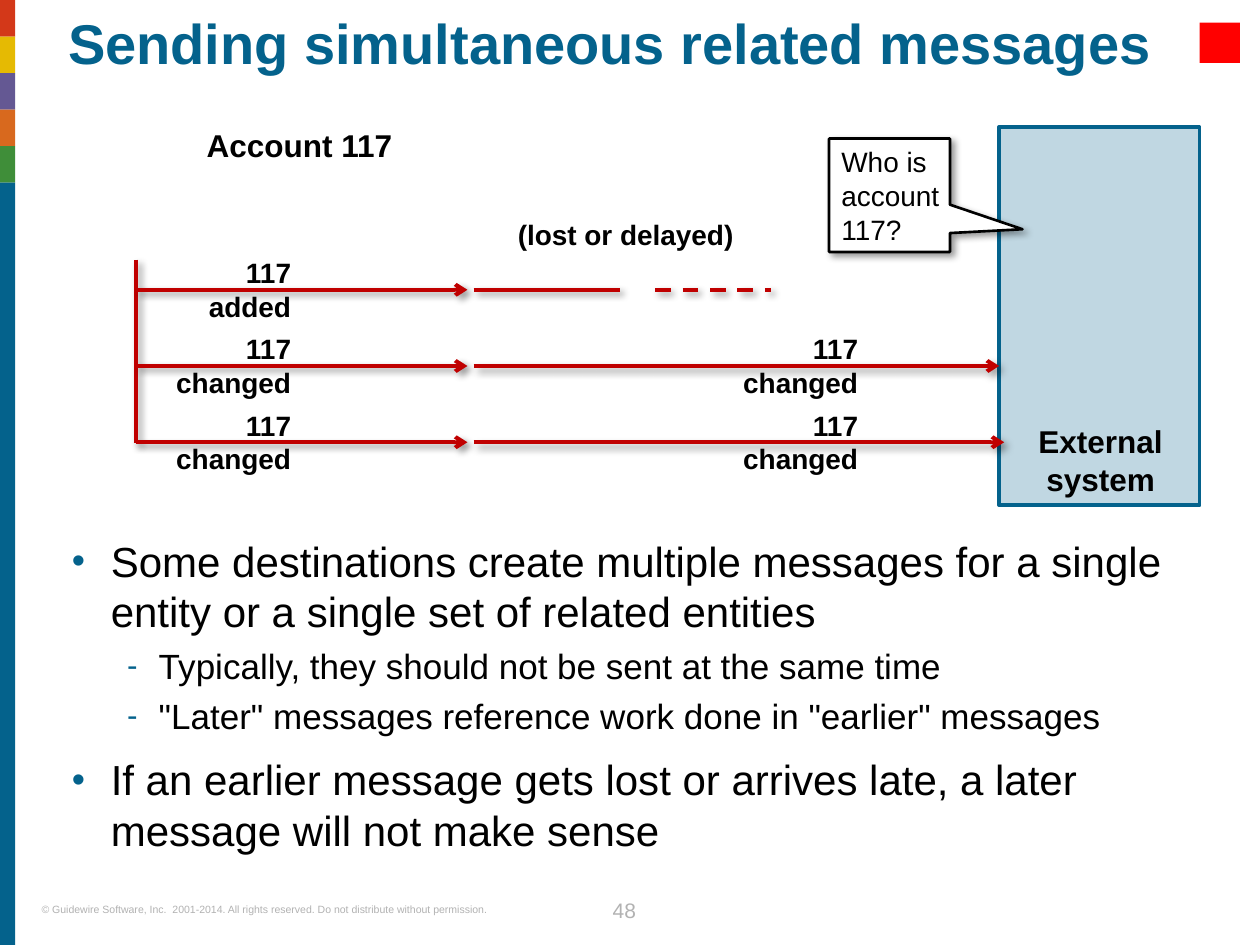
from lxml.etree import SubElement
from pptx import Presentation
from pptx.dml.color import RGBColor
from pptx.enum.dml import MSO_LINE
from pptx.enum.shapes import MSO_CONNECTOR, MSO_SHAPE
from pptx.enum.text import MSO_ANCHOR, MSO_AUTO_SIZE, PP_ALIGN
from pptx.oxml.ns import qn
from pptx.util import Inches, Pt

COLORS = {
    "blue": "04628C", "green": "3F8E39", "orange": "D8691E", "purple": "645893",
    "yellow": "E5BA03", "brick": "D33819", "message": "C00000", "marker": "FF0000",
    "black": "000000", "white": "FFFFFF", "gray": "B2B2B2",
}
COLUMNS, ROWS = 100, 75


class MessageSlide:
    """Draws styled elements on one slide, placed by columns and rows of a fine grid."""

    font = "Arial"

    def __init__(self):
        self.deck = Presentation()
        self.deck.slide_width, self.deck.slide_height = Inches(10), Inches(7.5)
        self.slide = self.deck.slides.add_slide(self.deck.slide_layouts[5])
        self.shapes = self.slide.shapes

    def x(self, columns):
        return round(self.deck.slide_width * columns / COLUMNS)

    def y(self, rows):
        return round(self.deck.slide_height * rows / ROWS)

    def box(self, left, top, width, height):
        return self.x(left), self.y(top), self.x(width), self.y(height)

    def color(self, name):
        return RGBColor.from_string(COLORS[name])

    def frame(self, shape, anchor=MSO_ANCHOR.TOP, left_inset=0):
        frame = shape.text_frame
        frame.word_wrap, frame.auto_size = True, MSO_AUTO_SIZE.NONE
        frame.vertical_anchor = anchor
        frame.margin_left = self.x(left_inset)
        frame.margin_top = frame.margin_right = frame.margin_bottom = 0
        return frame

    def style_text(self, paragraph, text, size, color="black", bold=False,
                   align=PP_ALIGN.LEFT):
        paragraph.text = text
        paragraph.alignment = align
        font = paragraph.font
        font.name, font.size, font.bold = self.font, Pt(size), bold
        font.color.rgb = self.color(color)

    def cast_shadow(self, effects):
        shadow = SubElement(effects, qn("a:outerShdw"), blurRad=str(Pt(4)),
                            dist=str(Pt(3)), dir="2700000", algn="tl", rotWithShape="0")
        tint = SubElement(shadow, qn("a:srgbClr"), val=COLORS["black"])
        SubElement(tint, qn("a:alpha"), val="40000")

    def title(self, text, *place):
        heading = self.shapes.title
        heading.left, heading.top, heading.width, heading.height = self.box(*place)
        paragraph = self.frame(heading).paragraphs[0]
        self.style_text(paragraph, text, 32, "blue", True)
        paragraph.line_spacing = 0.9

    def label(self, text, *place, size=16, color="black", bold=True, align=PP_ALIGN.LEFT):
        paragraph = self.frame(self.shapes.add_textbox(*self.box(*place))).paragraphs[0]
        self.style_text(paragraph, text, size, color, bold, align)

    def panel(self, fill, *place, line=None, weight=2.25, opacity=None,
              kind=MSO_SHAPE.RECTANGLE):
        panel = self.shapes.add_shape(kind, *self.box(*place))
        panel.shadow.inherit = False
        panel.fill.solid()
        panel.fill.fore_color.rgb = self.color(fill)
        if opacity:
            tint = panel._element.spPr.find(qn("a:solidFill"))[0]
            SubElement(tint, qn("a:alpha"), val=str(opacity * 1000))
        if line:
            panel.line.color.rgb = self.color(line)
            panel.line.width = Pt(weight)
        else:
            panel.line.fill.background()
        return panel

    def callout(self, text, *place, tip):
        bubble = self.panel("white", *place, line="black", weight=1.5,
                            kind=MSO_SHAPE.RECTANGULAR_CALLOUT)
        bubble.adjustments[0], bubble.adjustments[1] = tip
        self.cast_shadow(bubble._element.spPr.find(qn("a:effectLst")))
        frame = self.frame(bubble, MSO_ANCHOR.MIDDLE, 1)
        self.style_text(frame.paragraphs[0], text, 16)

    def message_line(self, x1, y1, x2, y2, arrow=False, dash=None):
        line = self.shapes.add_connector(
            MSO_CONNECTOR.STRAIGHT, self.x(x1), self.y(y1), self.x(x2), self.y(y2))
        line.line.color.rgb = self.color("message")
        line.line.width = Pt(2.25)
        if dash:
            line.line.dash_style = dash
        properties = line._element.spPr
        if arrow:
            SubElement(properties.find(qn("a:ln")), qn("a:tailEnd"), type="arrow")
        self.cast_shadow(SubElement(properties, qn("a:effectLst")))

    def bullets(self, items, *place):
        styles = {0: ("•", 3.1, 3.1, 24, 10), 1: ("-", 6.9, 2.5, 20, 4.6)}
        frame = self.frame(self.shapes.add_textbox(*self.box(*place)))
        for index, (level, text) in enumerate(items):
            mark, margin, hanging, size, gap = styles[level]
            paragraph = frame.add_paragraph() if index else frame.paragraphs[0]
            if index:
                paragraph.space_before = Pt(gap)
            paragraph.level = level
            properties = paragraph._p.get_or_add_pPr()
            properties.set("marL", str(self.x(margin)))
            properties.set("indent", str(-self.x(hanging)))
            tint = SubElement(properties, qn("a:buClr"))
            SubElement(tint, qn("a:srgbClr"), val=COLORS["blue"])
            SubElement(properties, qn("a:buSzPct"), val="90000")
            SubElement(properties, qn("a:buFont"), typeface=self.font)
            SubElement(properties, qn("a:buChar"), char=mark)
            self.style_text(paragraph, text, size)


def main():
    page = MessageSlide()
    page.title("Sending simultaneous related messages", 5.4, 1.3, 91, 8.1)

    band = 2.9
    stripes = ["brick", "yellow", "purple", "orange", "green"]
    for index, stripe in enumerate(stripes):
        page.panel(stripe, 0, index * band, 1.2, band)
    page.panel("blue", 0, len(stripes) * band, 1.2, ROWS - len(stripes) * band)
    page.panel("marker", 95.2, 1.8, 3.2, 3.2)

    page.panel("blue", 79.3, 10.1, 15.9, 30, line="blue", opacity=25)
    page.label("External\nsystem", 81.5, 33.5, 11.7, 6, size=18, align=PP_ALIGN.CENTER)
    page.label("Account 117", 16.4, 10, 18.2, 3, size=18)
    page.label("(lost or delayed)", 41.1, 17.3, 19.5, 2.7)

    first_row, pitch = 23, 6.05
    page.message_line(10.8, 20.6, 10.8, 35.2)
    for index, event in enumerate(["added", "changed", "changed"]):
        row = first_row + index * pitch
        page.message_line(10.8, row, 37.1, row, arrow=True)
        label_columns = [12.6]
        if index:
            page.message_line(37.6, row, (79.3, 79.7)[index - 1], row, arrow=True)
            label_columns.append(57.6)
        else:
            page.message_line(37.6, row, 49.2, row)
            page.message_line(52, row, 61.2, row, dash=MSO_LINE.DASH)
        for column in label_columns:
            page.label(f"117\n{event}", column, row - 2.7, 10.5, 5.3, align=PP_ALIGN.RIGHT)
    page.callout("Who is account 117?", 65.8, 11, 9.6, 9, tip=(1.1, 0.3))

    page.bullets([
        (0, "Some destinations create multiple messages for a single entity "
            "or a single set of related entities"),
        (1, "Typically, they should not be sent at the same time"),
        (1, '"Later" messages reference work done in "earlier" messages'),
        (0, "If an earlier message gets lost or arrives late, "
            "a later message will not make sense"),
    ], 5.7, 42.5, 91, 27.5)

    page.label("© Guidewire Software, Inc.  2001-2014. All rights reserved. "
               "Do not distribute without permission.",
               3.3, 71.7, 40.2, 1, size=6, color="gray", bold=False)
    page.label("48", 46.7, 71.2, 5.7, 2.5, size=12, color="gray", bold=False,
               align=PP_ALIGN.CENTER)
    page.deck.save("out.pptx")


if __name__ == "__main__":
    main()
